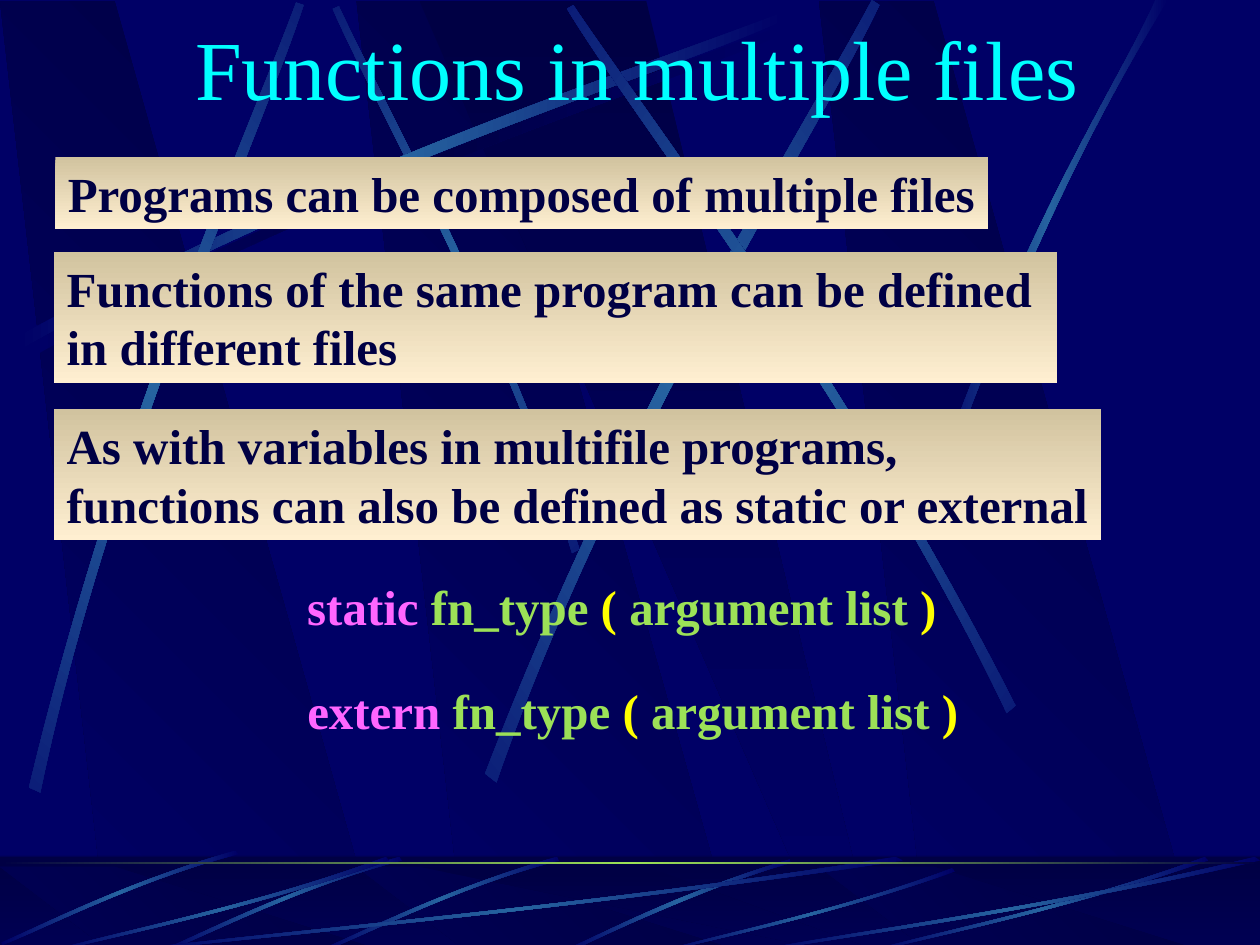
from math import cos, radians, sin

from pptx import Presentation
from pptx.dml.color import RGBColor
from pptx.enum.shapes import MSO_SHAPE
from pptx.enum.text import MSO_ANCHOR, MSO_AUTO_SIZE, PP_ALIGN
from pptx.oxml import parse_xml
from pptx.oxml.ns import nsdecls, qn
from pptx.util import Inches, Pt

THEME = {
    "font": "Times New Roman", "title": 48, "body": 28,
    "navy": "000066", "dark": "000044", "beam": "2663A0",
    "cyan": "00FFFF", "pink": "FF66FF", "green": "9CE157", "yellow": "FFFF00",
    "sand": "D1C39F", "cream": "FFEFD1",
}

TITLE = ("Functions in multiple files", (1.45, 0.08, 7.22, 0.9))
NOTES = [
    (["Programs can be composed of multiple files"], (0.44, 1.25, 7.4, 0.57)),
    (["Functions of the same program can be defined", "in different files"],
     (0.43, 2, 7.96, 1.04)),
    (["As with variables in multifile programs,",
      "functions can also be defined as static or external"],
     (0.43, 3.25, 8.31, 1.04)),
]
FORMS = [("static ", (2.34, 4.53, 5.2, 0.57)), ("extern ", (2.34, 5.35, 5.38, 0.57))]
SYNTAX = [("fn_type ", "green"), ("( ", "yellow"),
          ("argument list ", "green"), (")", "yellow")]

# Background panels, as fractions of their height
SLANT = [(0.86, 1), (3.02, 1), (0.91, 0), (0, 0)]
WEDGE = [(0, 0), (3.25, 1), (3.61, 1), (1.8, 0)]
PANELS = [(SLANT, 2.83, 135), (SLANT, 0, 135), (SLANT, 6.5, 135), (WEDGE, 3.33, 90)]

# Each beam: one curve of four points, then the curve back
STREAK = [(0.14, 2.67), (2.78, 1.25), (5.18, 0.51), (6.2, 0.1),
          (6.23, 0.16), (5.22, 0.61), (2.48, 1.43), (0.17, 2.77)]
BEAMS = [
    ([(4.6, 4.36), (3.91, 2.34), (3.02, 0.77), (2.69, 0.05),
      (2.64, 0.07), (2.95, 0.79), (3.98, 2.58), (4.54, 4.39)], 45),
    (STREAK, 0),
    ([(0.23, 6.25), (0.93, 3.34), (1.97, 1.05), (2.35, 0.02),
      (2.41, 0.04), (2.07, 1.08), (0.86, 3.68), (0.32, 6.29)], 311.7),
    ([(3.85, 6.14), (4.98, 3.2), (6.38, 1.02), (6.92, 0),
      (6.98, 0.04), (6.49, 1.08), (4.86, 3.55), (3.94, 6.21)], 321.6),
    ([(8.06, 5.6), (6.7, 2.93), (5.16, 0.95), (4.55, 0.04),
      (4.5, 0.07), (5.07, 1.01), (6.85, 3.25), (7.99, 5.66)], 34.8),
    ([(7.38, 3.93), (8.14, 1.73), (8.88, 0.66), (9.17, 0),
      (9.27, 0), (8.36, 1.45), (7.69, 3.22), (7.44, 3.97)], 0),
]
ARC = [(6.27, 6.82), (5.37, 7.09), (4.77, 7.42), (4.48, 7.54),
       (4.53, 7.55), (4.9, 7.37), (5.71, 7), (6.28, 6.85)]
TWIG = [(4.42, 6.8), (3.55, 7.05), (2.87, 7.4), (2.56, 7.53),
        (2.57, 7.55), (2.88, 7.43), (3.65, 7.03), (4.44, 6.83)]
TWIGS = [(0, 0), (-1.25, 0), (-2.55, -0.05)]
SWEEP = [(1, 0.04), (0.57, 0.57), (0.17, 0.85), (0.01, 1),
         (0, 0.99), (0.17, 0.81), (0.61, 0.51), (0.99, 0)]
SWEEPS = [(1, 6.8, 6.17, 0.75), (0.42, 6.8, 2.67, 0.75), (5.27, 6.89, 2.31, 0.66),
          (6.92, 6.8, 2.67, 0.75), (6, 6.8, 4, 0.75)]

deck = Presentation()
deck.slide_width, deck.slide_height = Inches(10), Inches(7.5)
layout = deck.slide_layouts[6]
slide = deck.slides.add_slide(layout)
scene = slide.shapes.add_group_shape()


def paint(shape, names, angle=0, alpha=100, spin=True):
    """Fill with evenly spaced gradient stops, or one colour, and no outline."""
    shape.shadow.inherit = False
    shape.line.fill.background()
    shape.fill.solid()
    colors = [f'<a:srgbClr val="{THEME[n]}"><a:alpha val="{alpha * 1000}"/></a:srgbClr>'
              for n in names]
    if len(colors) == 1:
        xml = f'<a:solidFill {nsdecls("a")}>{colors[0]}</a:solidFill>'
    else:
        step = 100000 // (len(colors) - 1)
        stops = "".join(f'<a:gs pos="{i * step}">{c}</a:gs>' for i, c in enumerate(colors))
        xml = (f'<a:gradFill {nsdecls("a")} rotWithShape="{int(spin)}">'
               f'<a:gsLst>{stops}</a:gsLst>'
               f'<a:lin ang="{angle * 60000}" scaled="1"/></a:gradFill>')
    props = shape.element.spPr
    props.replace(props.find(qn("a:solidFill")), parse_xml(xml))


def place(points, x, y, w=1, h=1):
    return [(x + w * px, y + h * py) for px, py in points]


def turn(point, angle):
    x, y = point
    c, s = cos(radians(angle)), sin(radians(angle))
    return x * c - y * s, x * s + y * c


def outline(points):
    spots = [(Inches(x), Inches(y)) for x, y in points]
    pen = scene.shapes.build_freeform(*spots[0])
    pen.add_line_segments(spots[1:], close=True)
    return pen.convert_to_shape()


def bend(shape):
    """Turn the first and last three lines of an eight-point outline into curves."""
    lines = list(shape.element.iter(qn("a:lnTo")))
    for trio in (lines[:3], lines[4:7]):
        arc = parse_xml(f'<a:cubicBezTo {nsdecls("a")}/>')
        trio[0].addprevious(arc)
        for line in trio:
            arc.append(line[0])
            line.getparent().remove(line)


def beam(points, angle=0, mid="beam", spin=True):
    """Draw a ribbon in an upright frame, then rotate it into place."""
    shape = outline([turn(p, -angle) for p in points])
    bend(shape)
    x, y = turn((shape.left + shape.width / 2, shape.top + shape.height / 2), angle)
    shape.left, shape.top = int(x - shape.width / 2), int(y - shape.height / 2)
    shape.rotation = angle
    paint(shape, ["navy", mid, "navy"], 180, spin=spin)


def block(home, box, *style, **more):
    shape = home.shapes.add_shape(MSO_SHAPE.RECTANGLE, *map(Inches, box))
    paint(shape, *style, **more)
    return shape


def panels(top, height):
    for form, left, angle in PANELS:
        paint(outline(place(form, left, top, 1, height)), ["dark", "navy"], angle)


def write(lines, box, size="body", bold=True, fill=None):
    """Write lines, each a list of (text, colour) runs, on a box filled on request."""
    if fill:
        shape = block(slide, box, fill, 90)
    else:
        shape = slide.shapes.add_textbox(*map(Inches, box))
    frame = shape.text_frame
    frame.word_wrap = False
    frame.auto_size = MSO_AUTO_SIZE.SHAPE_TO_FIT_TEXT
    frame.vertical_anchor = MSO_ANCHOR.TOP
    for i, line in enumerate(lines):
        para = frame.add_paragraph() if i else frame.paragraphs[0]
        para.alignment = PP_ALIGN.LEFT
        for text, color in line:
            run = para.add_run()
            run.text = text
            run.font.name, run.font.size = THEME["font"], Pt(THEME[size])
            run.font.bold = bold
            run.font.color.rgb = RGBColor.from_string(THEME[color])


back = slide.background.fill
back.solid()
back.fore_color.rgb = RGBColor.from_string(THEME["navy"])

panels(0.01, 7.51)
beam(place(STREAK, 0.06, 0.08), mid="dark")
for points, angle in BEAMS:
    beam(points, angle)

block(scene, (0, 6.8, 10, 0.75), ["dark", "navy"], 90)
panels(6.88, 0.66)
block(scene, (0, 6.79, 10, 0.75), ["dark"], alpha=50)
beam(ARC)
for shift in TWIGS:
    beam(place(TWIG, *shift), 314.9, spin=False)
for box in SWEEPS:
    beam(place(SWEEP, *box))
block(scene, (0, 6.84, 10, 0.02), ["dark", "green", "dark"], 180)
layout.shapes.element.append(scene.element)  # the scenery belongs to the layout

text, box = TITLE
write([[(text, "cyan")]], box, size="title", bold=False)
for lines, box in NOTES:
    write([[(line, "dark")] for line in lines], box, fill=["sand", "cream"])
for word, box in FORMS:
    write([[(word, "pink"), *SYNTAX]], box)

deck.save("out.pptx")
